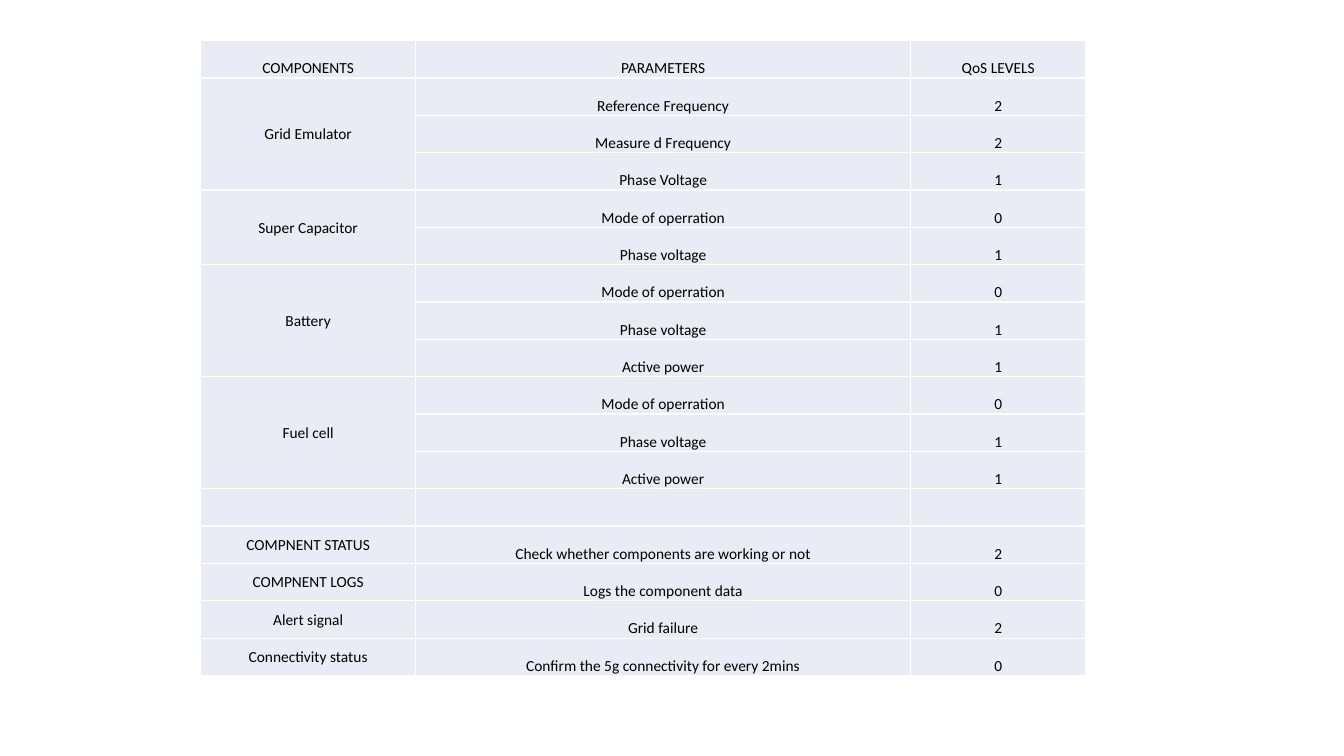
import dataclasses

import pptx
import pptx.dml.color
import pptx.enum.text
import pptx.util

SLIDE_W = pptx.util.Inches(13.33)
SLIDE_H = pptx.util.Inches(7.5)
LEFT, TOP = 0.1493, 0.0537  # shares of the slide
COLUMN_SHARES = (0.16, 0.3683, 0.1304)
ROW_SHARE = 0.0494
FONT, FONT_SIZE = "Calibri", 11
CELL_FILL, TEXT_COLOUR = "E9EBF5", "000000"
MARGIN = pptx.util.Inches(0.01)
ANCHOR = pptx.enum.text.MSO_ANCHOR


@dataclasses.dataclass(frozen=True)
class Component:
    name: str
    parameters: tuple[tuple[str, str], ...]  # parameter, QoS level


HEADINGS = ("COMPONENTS", "PARAMETERS", "QoS LEVELS")
POWER_UNIT = (("Mode of operration", "0"), ("Phase voltage", "1"), ("Active power", "1"))
COMPONENTS = (
    Component("Grid Emulator", (("Reference Frequency", "2"),
                                ("Measure d Frequency", "2"),
                                ("Phase Voltage", "1"))),
    Component("Super Capacitor", POWER_UNIT[:2]),
    Component("Battery", POWER_UNIT),
    Component("Fuel cell", POWER_UNIT),
    Component("", (("", ""),)),
    Component("COMPNENT STATUS", (("Check whether components are working or not", "2"),)),
    Component("COMPNENT LOGS", (("Logs the component data", "0"),)),
    Component("Alert signal", (("Grid failure", "2"),)),
    Component("Connectivity status", (("Confirm the 5g connectivity for every 2mins", "0"),)),
)


def colour(value: str) -> pptx.dml.color.RGBColor:
    return pptx.dml.color.RGBColor.from_string(value)


def format_cell(cell, anchor=ANCHOR.BOTTOM) -> None:
    cell.fill.solid()
    cell.fill.fore_color.rgb = colour(CELL_FILL)
    cell.margin_left = cell.margin_right = cell.margin_top = MARGIN
    cell.margin_bottom = 0
    cell.vertical_anchor = anchor
    p = cell.text_frame.paragraphs[0]
    p.alignment = pptx.enum.text.PP_ALIGN.CENTER
    p.font.name = FONT
    p.font.size = pptx.util.Pt(FONT_SIZE)
    p.font.color.rgb = colour(TEXT_COLOUR)


def write_row(table, row: int, texts: tuple[str, ...]) -> None:
    for column, text in enumerate(texts):
        cell = table.cell(row, column)
        if text:
            cell.text = text
        is_component = column == 0 and row > 0
        format_cell(cell, ANCHOR.MIDDLE if is_component else ANCHOR.BOTTOM)


def add_qos_table(slide) -> None:
    row_count = 1 + sum(len(c.parameters) for c in COMPONENTS)
    table = slide.shapes.add_table(
        row_count, len(HEADINGS),
        int(LEFT * SLIDE_W), int(TOP * SLIDE_H),
        int(sum(COLUMN_SHARES) * SLIDE_W), int(row_count * ROW_SHARE * SLIDE_H),
    ).table
    table.first_row = table.horz_banding = False
    for column, share in zip(table.columns, COLUMN_SHARES):
        column.width = int(share * SLIDE_W)
    for table_row in table.rows:
        table_row.height = int(ROW_SHARE * SLIDE_H)

    write_row(table, 0, HEADINGS)
    row = 1
    for component in COMPONENTS:
        first = row
        for parameter, level in component.parameters:
            name = component.name if row == first else ""
            write_row(table, row, (name, parameter, level))
            row += 1
        if row - first > 1:
            table.cell(first, 0).merge(table.cell(row - 1, 0))


def main() -> None:
    prs = pptx.Presentation()
    prs.slide_width, prs.slide_height = SLIDE_W, SLIDE_H
    slide = prs.slides.add_slide(prs.slide_layouts[6])
    add_qos_table(slide)
    prs.save("out.pptx")


if __name__ == "__main__":
    main()
